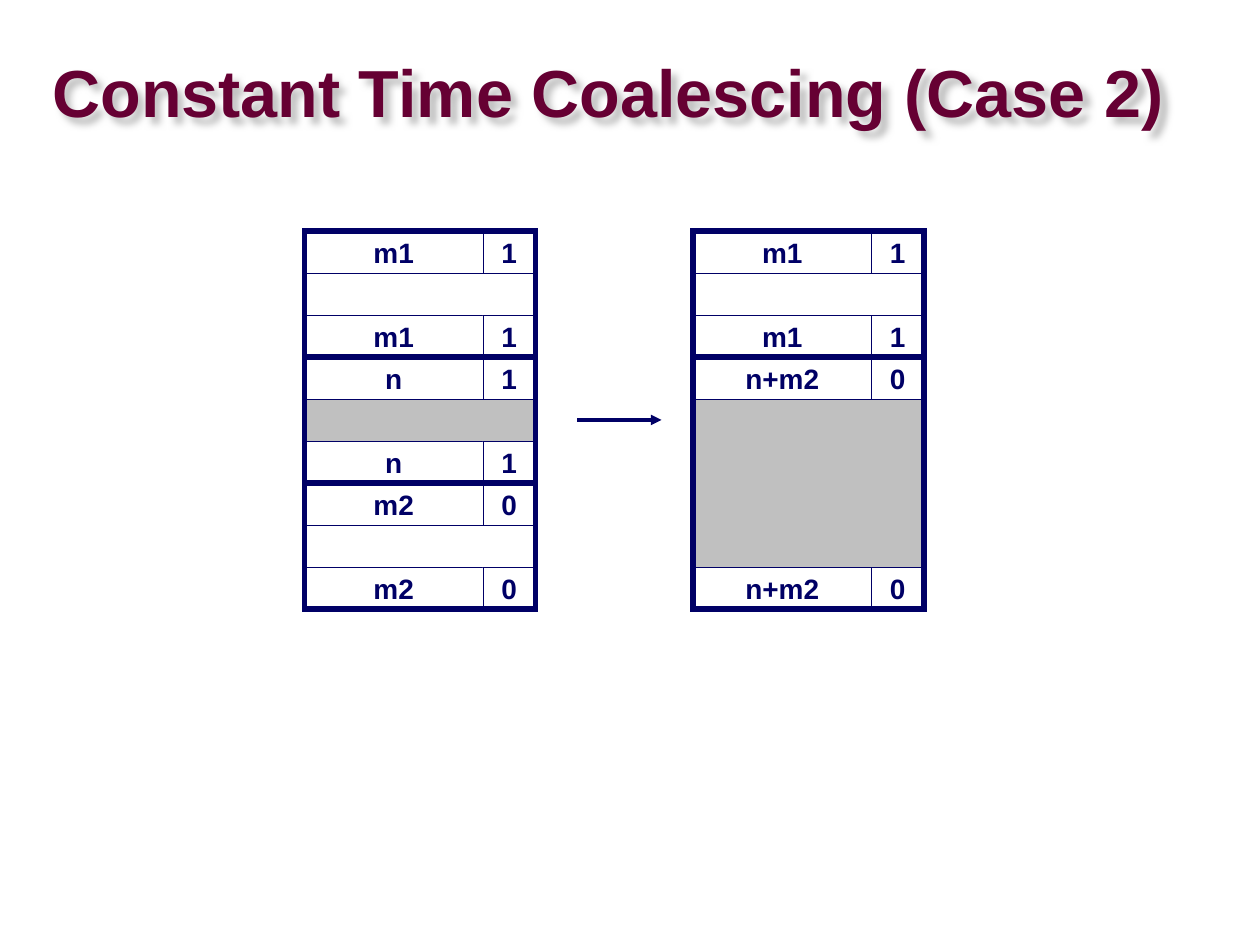
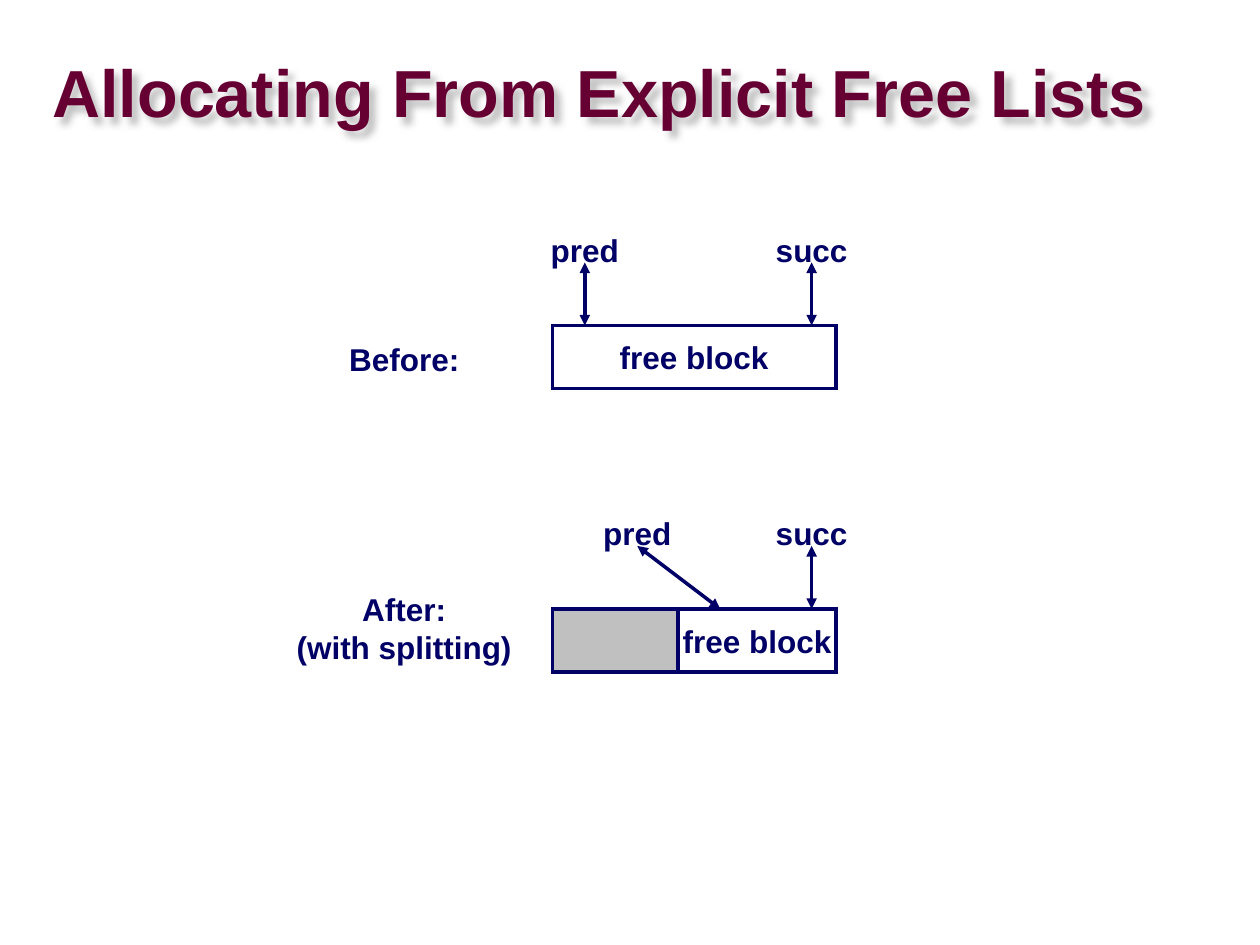
from lxml.etree import SubElement
from pptx import Presentation
from pptx.dml.color import RGBColor
from pptx.enum.shapes import MSO_CONNECTOR, MSO_SHAPE
from pptx.enum.text import MSO_ANCHOR, MSO_AUTO_SIZE, PP_ALIGN
from pptx.oxml.ns import qn
from pptx.util import Inches, Pt

COLORS = {"title": "660033", "ink": "000066", "paper": "FFFFFF", "gray": "C0C0C0"}
FONT = "Arial"
COLUMNS, ROWS = 120, 90
TAG_HEIGHT, SIZE_WIDTH, FLAG_WIDTH = 4, 17, 5
BLOCK_WIDTH = SIZE_WIDTH + FLAG_WIDTH


def color(name):
    return RGBColor.from_string(COLORS[name])


def write(shape, text, size=18, ink="ink", align=PP_ALIGN.CENTER, wrap=False, spacing=None):
    frame = shape.text_frame
    frame.word_wrap = wrap
    frame.vertical_anchor = MSO_ANCHOR.MIDDLE
    frame.text = text
    for paragraph in frame.paragraphs:
        paragraph.alignment = align
        paragraph.line_spacing = spacing
        font = paragraph.font
        font.name, font.size, font.bold = FONT, Pt(size), True
        font.color.rgb = color(ink)
    return frame


class Deck:
    """Draws styled elements on the current slide, placed by grid columns and rows."""

    def __init__(self):
        self.presentation = Presentation()
        self.presentation.slide_width = Inches(10)
        self.presentation.slide_height = Inches(7.5)
        self.slide = None

    def x(self, column):
        return round(self.presentation.slide_width * column / COLUMNS)

    def y(self, row):
        return round(self.presentation.slide_height * row / ROWS)

    def place(self, column, row, width, height):
        return self.x(column), self.y(row), self.x(width), self.y(height)

    def new_slide(self, title, width):
        self.slide = self.presentation.slides.add_slide(self.presentation.slide_layouts[6])
        box = self.slide.shapes.add_textbox(*self.place(5, 5.5, width, 7.5))
        frame = write(box, title, size=38, ink="title", align=PP_ALIGN.LEFT, wrap=True, spacing=0.87)
        frame.margin_left = frame.margin_right = frame.margin_top = frame.margin_bottom = 0
        effects = SubElement(box.element.spPr, qn("a:effectLst"))
        shadow = SubElement(effects, qn("a:outerShdw"), blurRad="50800", dist="50800",
                            dir="2700000", algn="ctr", rotWithShape="0")
        SubElement(shadow, qn("a:srgbClr"), val=COLORS["gray"])

    def rectangle(self, column, row, width, height, text="", fill="paper", line=0.25, size=16):
        shape = self.slide.shapes.add_shape(
            MSO_SHAPE.RECTANGLE, *self.place(column, row, width, height))
        shape.shadow.inherit = False
        if fill:
            shape.fill.solid()
            shape.fill.fore_color.rgb = color(fill)
        else:
            shape.fill.background()
        shape.line.color.rgb = color("ink")
        shape.line.width = Pt(line)
        SubElement(shape.line._get_or_add_ln(), qn("a:miter"), lim="800000")
        if text:
            write(shape, text, size=size)

    def label(self, text, center, row, width, height=4.8):
        box = self.slide.shapes.add_textbox(
            *self.place(center - width / 2, row, width, height))
        write(box, text).auto_size = MSO_AUTO_SIZE.SHAPE_TO_FIT_TEXT

    def arrow(self, start, end, ends=("tailEnd",)):
        connector = self.slide.shapes.add_connector(
            MSO_CONNECTOR.STRAIGHT, self.x(start[0]), self.y(start[1]), self.x(end[0]), self.y(end[1]))
        connector.line.color.rgb = color("ink")
        connector.line.width = Pt(2)
        for tag in ends:
            SubElement(connector.line._get_or_add_ln(), qn(f"a:{tag}"), type="triangle")
        SubElement(connector.element.spPr, qn("a:effectLst"))

    def memory_block(self, column, row, size, flag, payload_rows=1, fill="paper"):
        payload = payload_rows * TAG_HEIGHT
        footer = row + TAG_HEIGHT + payload
        self.rectangle(column, row + TAG_HEIGHT, BLOCK_WIDTH, payload, fill=fill)
        for tag_row in (row, footer):
            self.rectangle(column, tag_row, SIZE_WIDTH, TAG_HEIGHT, size)
            self.rectangle(column + SIZE_WIDTH, tag_row, FLAG_WIDTH, TAG_HEIGHT, flag)
        self.rectangle(column, row, BLOCK_WIDTH, payload + 2 * TAG_HEIGHT, fill=None, line=3)
        return footer + TAG_HEIGHT

    def list_pointer(self, name, start, end, block_row):
        self.arrow((start, block_row - 6), (end, block_row), ("headEnd", "tailEnd"))
        self.label(name, start, block_row - 9.6, 9.4)


def coalescing_slide(deck):
    deck.new_slide("Constant Time Coalescing (Case 2)", 109)
    heaps = {
        29: [("m1", "1"), ("n", "1", 1, "gray"), ("m2", "0")],
        66: [("m1", "1"), ("n+m2", "0", 4, "gray")],
    }
    for column, blocks in heaps.items():
        row = 22
        for block in blocks:
            row = deck.memory_block(column, row, *block)
    deck.arrow((55, 40), (63, 40))


def allocating_slide(deck):
    deck.new_slide("Allocating From Explicit Free Lists", 105)
    left, before, after = 52.6, 31, 58
    deck.rectangle(left, before, 27, 6, "free block", line=2, size=18)
    deck.rectangle(left + 12, after, 15, 6, "free block", line=2, size=18)
    deck.rectangle(left, after, 12, 6, fill="gray", line=2)
    deck.list_pointer("pred", 55.7, 55.7, before)
    deck.list_pointer("pred", 60.7, 68.6, after)
    for block_row in (before, after):
        deck.list_pointer("succ", 77.3, 77.3, block_row)
    deck.label("Before:", 38.5, 31.8, 13)
    deck.label("After:\n(with splitting)", 38.5, 55.6, 23, 8.4)


def main():
    deck = Deck()
    coalescing_slide(deck)
    allocating_slide(deck)
    deck.presentation.save("out.pptx")


if __name__ == "__main__":
    main()
